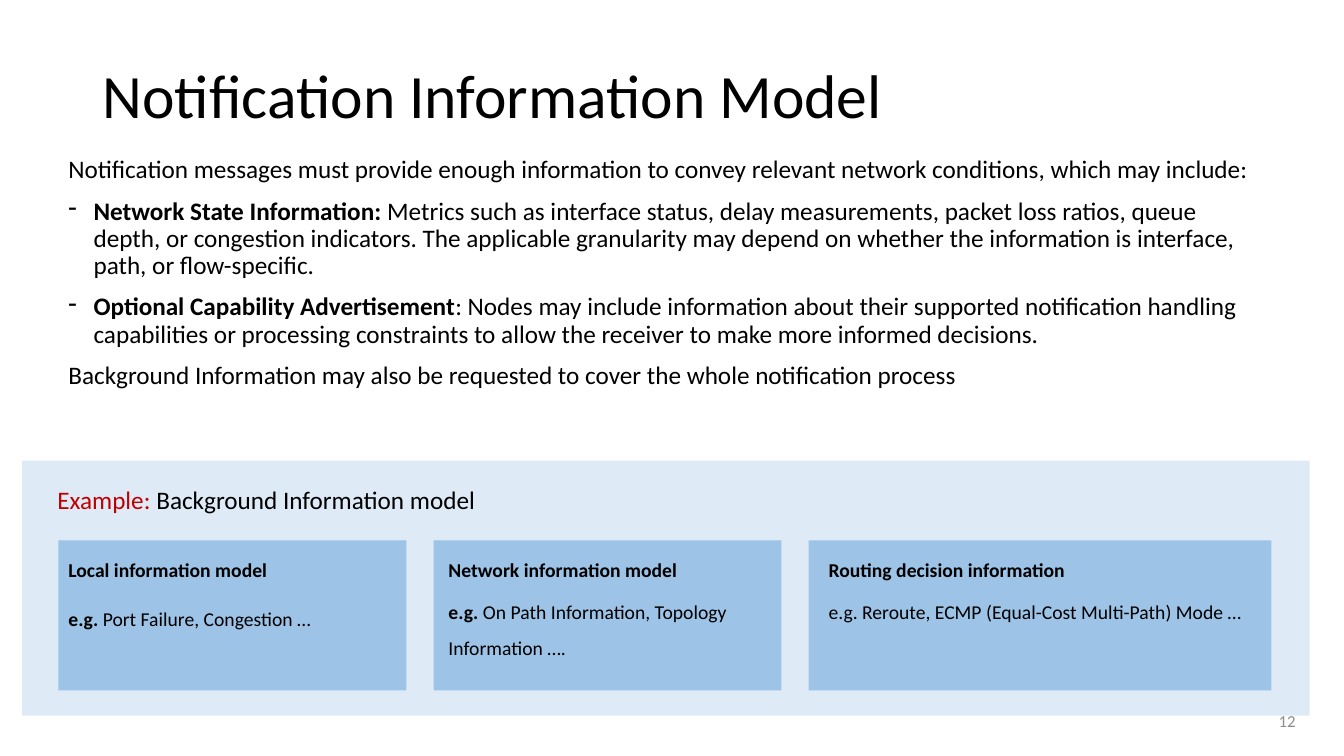
"""Builds the Notification Information Model slide."""
import pptx
import pptx.dml.color
import pptx.enum.shapes
import pptx.enum.text
import pptx.oxml.ns
import pptx.util
from lxml import etree

PX = 9144
THEME = {
    "font": "Calibri",
    "title": 44, "body": 18, "card": 14, "number": 12,
    "ink": "000000", "accent": "C00000", "muted": "8C8C8C",
    "panel": "DEEBF7", "block": "9DC3E6",
}
ALIGN = pptx.enum.text.PP_ALIGN
ANCHOR = pptx.enum.text.MSO_ANCHOR

deck = pptx.Presentation()
deck.slide_width, deck.slide_height = 1333 * PX, 750 * PX
page = deck.slides.add_slide(deck.slide_layouts[6])


def add_block(left, top, width, height, color):
    block = page.shapes.add_shape(
        pptx.enum.shapes.MSO_SHAPE.RECTANGLE, left * PX, top * PX, width * PX, height * PX)
    block.shadow.inherit = False
    block.fill.solid()
    block.fill.fore_color.rgb = pptx.dml.color.RGBColor.from_string(THEME[color])
    block.line.fill.background()


def add_text(left, top, width, height, paragraphs, size, color="ink", spacing=1.0,
             before=0, anchor=ANCHOR.TOP, align=ALIGN.LEFT):
    box = page.shapes.add_textbox(left * PX, top * PX, width * PX, height * PX)
    frame = box.text_frame
    frame.word_wrap = True
    frame.vertical_anchor = anchor
    for index, (bullet, spans) in enumerate(paragraphs):
        para = frame.paragraphs[0] if index == 0 else frame.add_paragraph()
        para.alignment = align
        para.line_spacing = spacing
        para.space_before = pptx.util.Pt(before if index else 0)
        if bullet:
            properties = para._p.get_or_add_pPr()
            properties.set("marL", str(25 * PX))
            properties.set("indent", str(-25 * PX))
            etree.SubElement(properties, pptx.oxml.ns.qn("a:buChar")).set("char", bullet)
        para.font.name = THEME["font"]
        para.font.size = pptx.util.Pt(THEME[size])
        for words, bold, *own_color in spans:
            span = para.add_run()
            span.text = words
            span.font.bold = bold
            span.font.color.rgb = pptx.dml.color.RGBColor.from_string(
                THEME[own_color[0] if own_color else color])


add_block(22, 457, 1277, 253, "panel")

cards = [
    (345, 0, 10, "Local information model",
     [("e.g. ", True), ("Port Failure, Congestion …", False)]),
    (345, 5, 5, "Network information model",
     [("e.g. ", True), ("On Path Information, Topology Information ….", False)]),
    (459, 10, 5, "Routing decision information",
     [("e.g. Reroute, ECMP (Equal-Cost Multi-Path) Mode …", False)]),
]
card_left, card_gap = 58, 27
for width, inset, before, heading, example in cards:
    add_block(card_left, 536, width, 149, "block")
    add_text(card_left + inset, 537, width - inset, 123,
             [(None, [(heading, True)]), (None, example)],
             "card", spacing=1.5, before=before)
    card_left += width + card_gap

add_text(47, 476, 638, 40,
         [(None, [("Example: ", False, "accent"), ("Background Information model", False)])],
         "body")

add_text(58, 151, 1203, 365, [
    (None, [("Notification messages must provide enough information to convey relevant "
             "network conditions, which may include:", False)]),
    ("-", [("Network State Information: ", True),
           ("Metrics such as interface status, delay measurements, packet loss ratios, queue "
            "depth, or congestion indicators. The applicable granularity may depend on whether "
            "the information is interface, path, or flow-specific.", False)]),
    ("-", [("Optional Capability Advertisement", True),
           (": Nodes may include information about their supported notification handling "
            "capabilities or processing constraints to allow the receiver to make more "
            "informed decisions.", False)]),
    (None, [("Background Information may also be requested to cover the whole notification "
             "process", False)]),
], "body", spacing=0.9, before=10)

add_text(92, 25, 1150, 145, [(None, [("Notification Information Model", False)])],
         "title", spacing=0.9, anchor=ANCHOR.MIDDLE)
add_text(995, 695, 300, 40, [(None, [("12", False)])],
         "number", color="muted", anchor=ANCHOR.MIDDLE, align=ALIGN.RIGHT)

deck.save("out.pptx")
